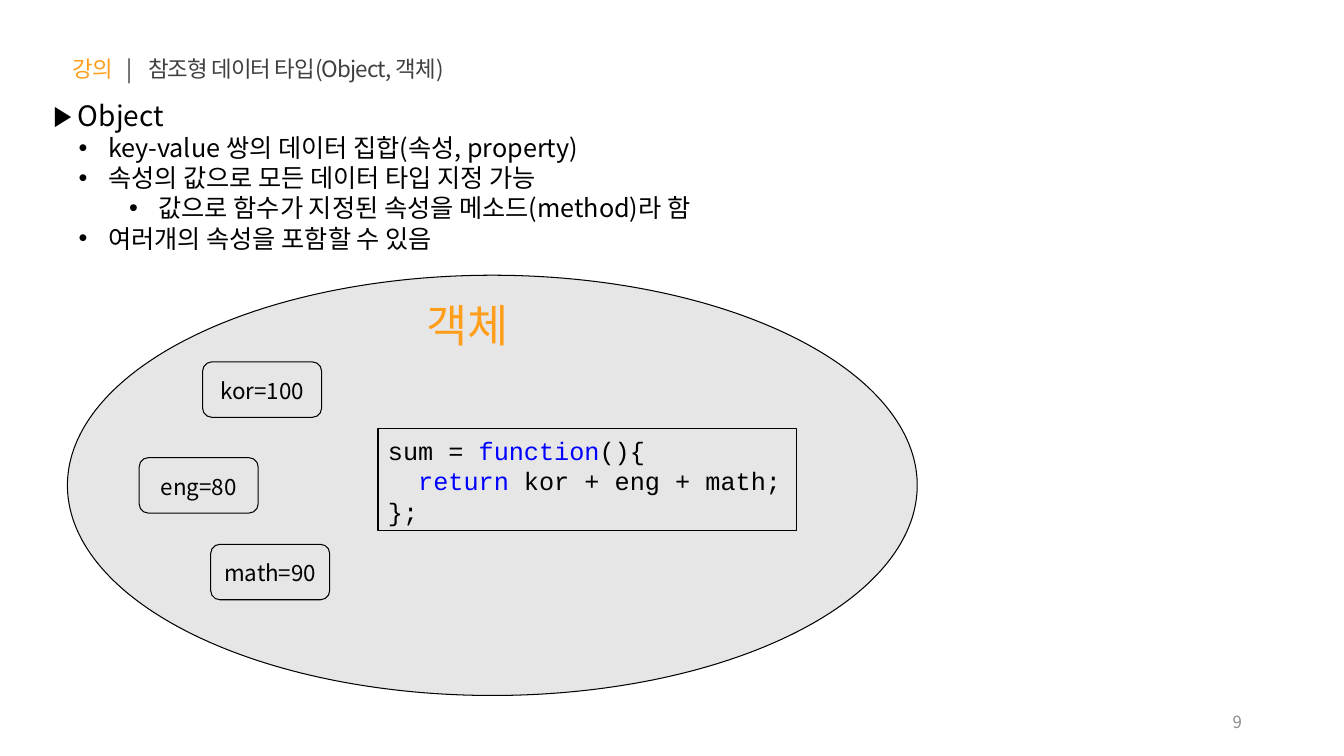
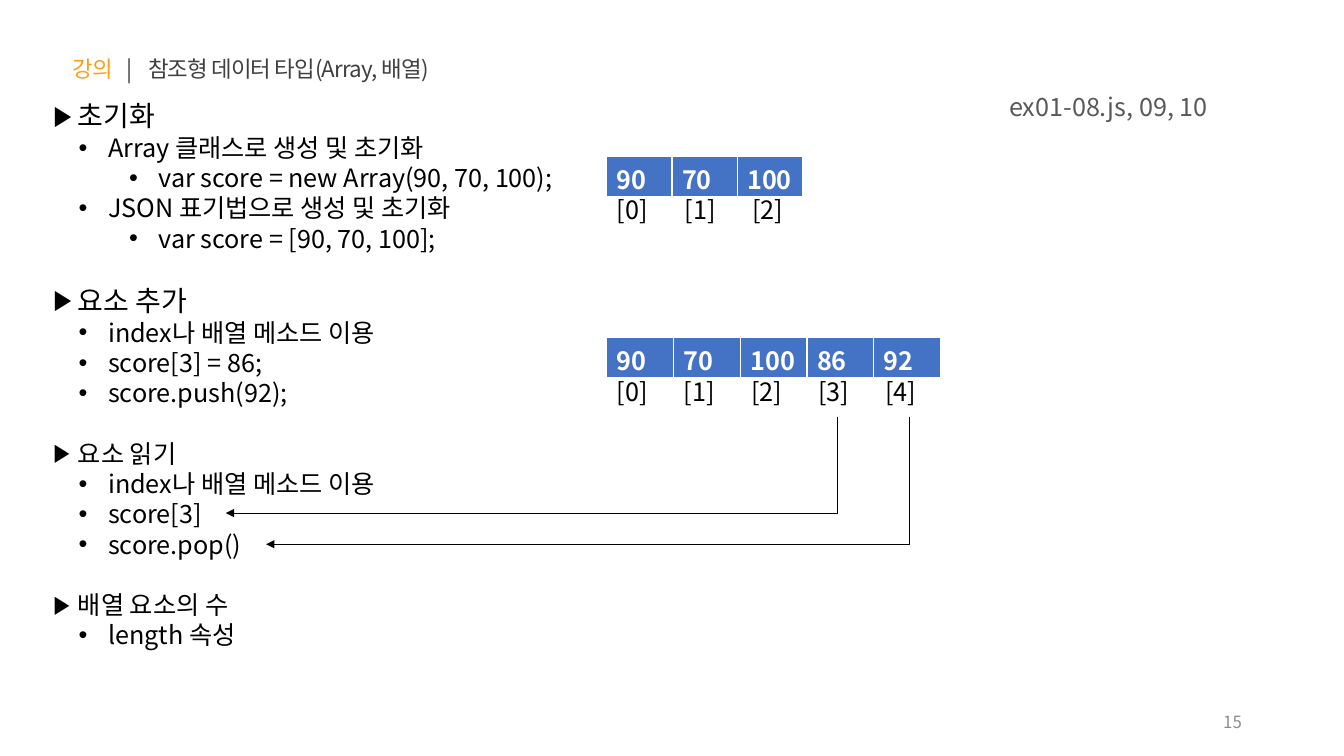
from lxml.etree import SubElement
from pptx import Presentation
from pptx.dml.color import RGBColor
from pptx.enum.shapes import MSO_CONNECTOR as Connector, MSO_SHAPE as Shape
from pptx.enum.text import MSO_ANCHOR as Anchor, MSO_AUTO_SIZE as AutoSize, PP_ALIGN as Align
from pptx.oxml import parse_xml
from pptx.oxml.ns import nsdecls, qn
from pptx.util import Pt

ORANGE = RGBColor(0xFF, 0x9E, 0x1B)
BLACK = RGBColor(0x00, 0x00, 0x00)
WHITE = RGBColor(0xFF, 0xFF, 0xFF)
DARK = RGBColor(0x40, 0x40, 0x40)
TAG_GRAY = RGBColor(0x59, 0x59, 0x59)
NUMBER_GRAY = RGBColor(0x8C, 0x8C, 0x8C)
PALE = RGBColor(0xE7, 0xE6, 0xE6)
KEYWORD = RGBColor(0x00, 0x00, 0xFF)
CELL_BLUE = RGBColor(0x44, 0x72, 0xC4)
SANS, MONO = "Noto Sans CJK KR", "Courier New"
LINE_RATIO = 1.2
LEVELS = [("▶", 17.5, 17.5), ("•", 39, 21), ("•", 75, 21)]


def assign(target, values):
    """Set every named value on the target."""
    for name, value in values.items():
        setattr(target, name, value)


class Lecture:
    """Lecture style together with the slide being filled."""

    def __init__(self):
        self.deck = Presentation()
        assign(self.deck, {"slide_width": Pt(960), "slide_height": Pt(540)})
        self.slide = None

    def place(self, item, box):
        """Move an item to a box given in points."""
        assign(item, dict(zip(("left", "top", "width", "height"), map(Pt, box))))

    def frame(self, item, **values):
        """Return the prepared text frame of an item."""
        frame = item.text_frame
        assign(frame, {"word_wrap": True, "auto_size": AutoSize.NONE, "margin_top": Pt(5),
                       "vertical_anchor": Anchor.TOP} | values)
        return frame

    def add_text(self, paragraph, runs, size, font=SANS, bold=False, spacing=None, **values):
        """Fill a paragraph with coloured runs."""
        assign(paragraph, {"alignment": Align.LEFT, "space_before": Pt(0),
                           "line_spacing": Pt(size * LINE_RATIO)} | values)
        for text, color in runs:
            run = paragraph.add_run()
            run.text = text
            assign(run.font, {"name": font, "size": Pt(size), "bold": bold})
            run.font.color.rgb = color
            properties = run.font._element
            SubElement(properties, qn("a:ea"), typeface=font)
            if spacing:
                properties.set("spc", str(spacing))

    def tabs(self, paragraph, stops):
        """Give a paragraph left tab stops in points."""
        tab_list = SubElement(paragraph._p.get_or_add_pPr(), qn("a:tabLst"))
        for stop in stops:
            SubElement(tab_list, qn("a:tab"), pos=str(Pt(stop)), algn="l")

    def start(self, topic, number):
        """Open a slide with its heading and page number."""
        self.slide = self.deck.slides.add_slide(self.deck.slide_layouts[1])
        heading = self.slide.shapes.title
        self.place(heading, (44.6, 34.6, 370.8, 26.6))
        paragraph = self.frame(heading).paragraphs[0]
        self.add_text(paragraph, [("강의", ORANGE), (f"\t|\t{topic}", DARK)], 16, spacing=-60)
        self.tabs(paragraph, (38.5, 54))
        self.label(str(number), (678.2, 500.4, 216, 28.8), 12, NUMBER_GRAY,
                   Align.RIGHT, Anchor.MIDDLE)

    def outline(self, sections, height):
        """Put headed bullet lists into the body placeholder."""
        body = self.slide.placeholders[1]
        self.place(body, (31, 65.5, 658, height))
        frame = self.frame(body)
        for index, (heading, size, entries) in enumerate(sections):
            for level, text in [(0, heading), *entries]:
                first = index == 0 and level == 0
                gap = 18 * LINE_RATIO if index and level == 0 else 0
                paragraph = frame.paragraphs[0] if first else frame.add_paragraph()
                self.add_text(paragraph, [(text, BLACK)], 18 if level else size,
                              level=level, space_before=Pt(gap))
                self.bullet(paragraph, *LEVELS[level])

    def bullet(self, paragraph, mark, margin, hanging):
        """Give a paragraph its bullet and hanging indent."""
        properties = paragraph._p.get_or_add_pPr()
        properties.set("marL", str(Pt(margin)))
        properties.set("indent", str(-Pt(hanging)))
        SubElement(properties, qn("a:buChar"), char=mark)

    def label(self, text, box, size, color, align=Align.LEFT, anchor=Anchor.TOP, stops=()):
        """Add one line of free text."""
        caption = self.slide.shapes.add_textbox(*map(Pt, box))
        paragraph = self.frame(caption, vertical_anchor=anchor).paragraphs[0]
        self.add_text(paragraph, [(text, color)], size, alignment=align)
        if stops:
            self.tabs(paragraph, stops)

    def outlined(self, kind, box, fill=None):
        """Add a thinly outlined preset shape."""
        figure = self.slide.shapes.add_shape(kind, *map(Pt, box))
        figure.shadow.inherit = False
        figure.line.color.rgb = BLACK
        figure.line.width = Pt(0.75)
        if fill is None:
            figure.fill.background()
        else:
            figure.fill.solid()
            figure.fill.fore_color.rgb = fill
        return figure

    def property_box(self, text, left, top):
        """Add a rounded box holding one property."""
        item = self.outlined(Shape.ROUNDED_RECTANGLE, (left, top, 85, 39.6))
        frame = self.frame(item, word_wrap=False, vertical_anchor=Anchor.MIDDLE)
        self.add_text(frame.paragraphs[0], [(text, BLACK)], 16, alignment=Align.CENTER)

    def code(self, lines, box):
        """Add a framed code listing of indented, coloured lines."""
        frame = self.frame(self.outlined(Shape.RECTANGLE, box))
        for index, (indent, runs) in enumerate(lines):
            paragraph = frame.add_paragraph() if index else frame.paragraphs[0]
            self.add_text(paragraph, runs, 18, MONO)
            paragraph._p.get_or_add_pPr().set("marL", str(Pt(indent)))

    def array(self, values, top, column, pitch):
        """Add a row of array elements with index labels below."""
        left, count = 433.4, len(values)
        width = column * count
        holder = self.slide.shapes.add_table(1, count, Pt(left), Pt(top), Pt(width), Pt(28.8))
        elements = holder.table
        assign(elements, {"first_row": False, "horz_banding": False})
        for index, value in enumerate(values):
            elements.columns[index].width = Pt(column)
            cell = elements.cell(0, index)
            assign(cell, {"margin_top": Pt(7), "margin_bottom": Pt(0)})
            cell.fill.solid()
            cell.fill.fore_color.rgb = CELL_BLUE
            self.add_text(cell.text_frame.paragraphs[0], [(str(value), WHITE)], 18, bold=True)
            for position, side in enumerate(("lnL", "lnR")):
                border = parse_xml(
                    f'<a:{side} {nsdecls("a")} w="{Pt(1)}"><a:solidFill>'
                    f'<a:srgbClr val="{WHITE}"/></a:solidFill></a:{side}>')
                cell._tc.get_or_add_tcPr().insert(position, border)
        indexes = "\t".join(f"[{index}]" for index in range(count))
        self.label(indexes, (left, top + 22.3, width + 10, 28.8), 18, BLACK,
                   stops=[pitch * index for index in range(1, count)])

    def arrow(self, start, end):
        """Add an arrow that runs down and then across."""
        route = self.slide.shapes.add_connector(Connector.ELBOW, *map(Pt, (*start, *end)))
        route.line.color.rgb = BLACK
        route.line.width = Pt(0.75)
        properties = route._element.spPr
        adjustments = properties.find(qn("a:prstGeom")).get_or_add_avLst()
        SubElement(adjustments, qn("a:gd"), name="adj1", fmla="val 0")
        SubElement(route.line._get_or_add_ln(), qn("a:tailEnd"), type="triangle")
        SubElement(properties, qn("a:effectLst"))


def object_slide(lecture):
    """Build the slide about objects."""
    lecture.start("참조형 데이터 타입(Object, 객체)", 9)
    lecture.outline([("Object", 20, [
        (1, "key-value 쌍의 데이터 집합(속성, property)"),
        (1, "속성의 값으로 모든 데이터 타입 지정 가능"),
        (2, "값으로 함수가 지정된 속성을 메소드(method)라 함"),
        (1, "여러개의 속성을 포함할 수 있음")])], 140.4)
    lecture.outlined(Shape.OVAL, (48.2, 196.6, 607, 300.2), PALE)
    for text, left, top in (("kor=100", 144.7, 258.5), ("eng=80", 99.4, 326.9),
                            ("math=90", 150.5, 388.8)):
        lecture.property_box(text, left, top)
    lecture.label("객체", (297.4, 207.4, 74.2, 46), 32, ORANGE)
    lecture.code([
        (0, [("sum = ", BLACK), ("function", KEYWORD), ("(){", BLACK)]),
        (21.6, [("return", KEYWORD), (" kor + eng + math;", BLACK)]),
        (0, [("};", BLACK)])], (270, 306, 298.8, 72.7))


def array_slide(lecture):
    """Build the slide about arrays."""
    lecture.start("참조형 데이터 타입(Array, 배열)", 15)
    lecture.outline([
        ("초기화", 20, [
            (1, "Array 클래스로 생성 및 초기화"),
            (2, "var score = new Array(90, 70, 100);"),
            (1, "JSON 표기법으로 생성 및 초기화"),
            (2, "var score = [90, 70, 100];")]),
        ("요소 추가", 20, [
            (1, "index나 배열 메소드 이용"),
            (1, "score[3] = 86;"),
            (1, "score.push(92);")]),
        ("요소 읽기", 18, [
            (1, "index나 배열 메소드 이용"),
            (1, "score[3]"),
            (1, "score.pop()")]),
        ("배열 요소의 수", 18, [(1, "length 속성")])], 426.2)
    lecture.array([90, 70, 100], 111.6, 46.6, 48.5)
    lecture.array([90, 70, 100, 86, 92], 241.2, 47.7, 48)
    lecture.arrow((598.3, 298.1), (161.3, 366.5))
    lecture.arrow((649.4, 298.1), (190.1, 388.8))
    lecture.label("ex01-08.js, 09, 10", (684, 60.5, 185.8, 28.8), 18, TAG_GRAY, Align.RIGHT)


def main():
    """Build and save the presentation."""
    lecture = Lecture()
    object_slide(lecture)
    array_slide(lecture)
    lecture.deck.save("out.pptx")


if __name__ == "__main__":
    main()
